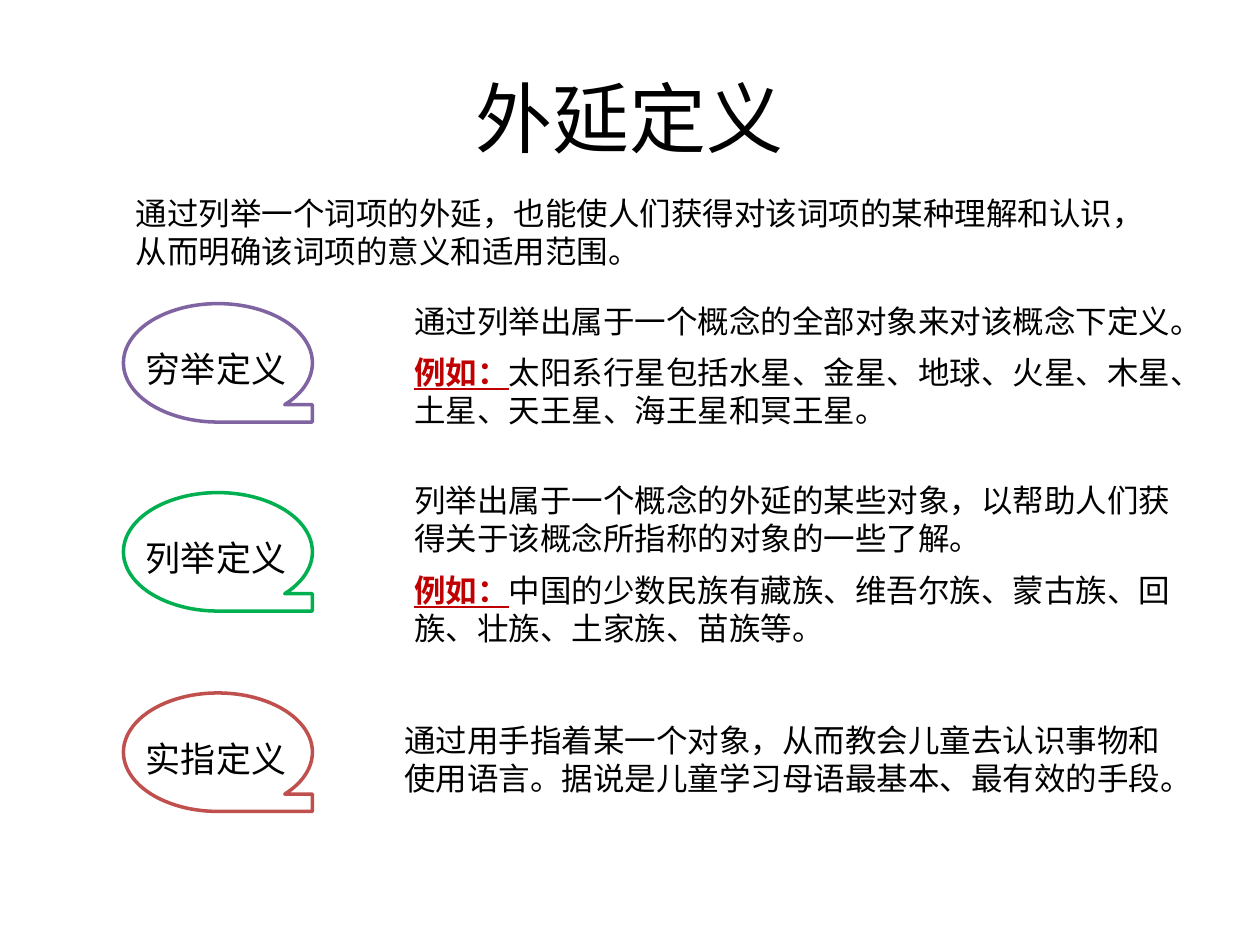
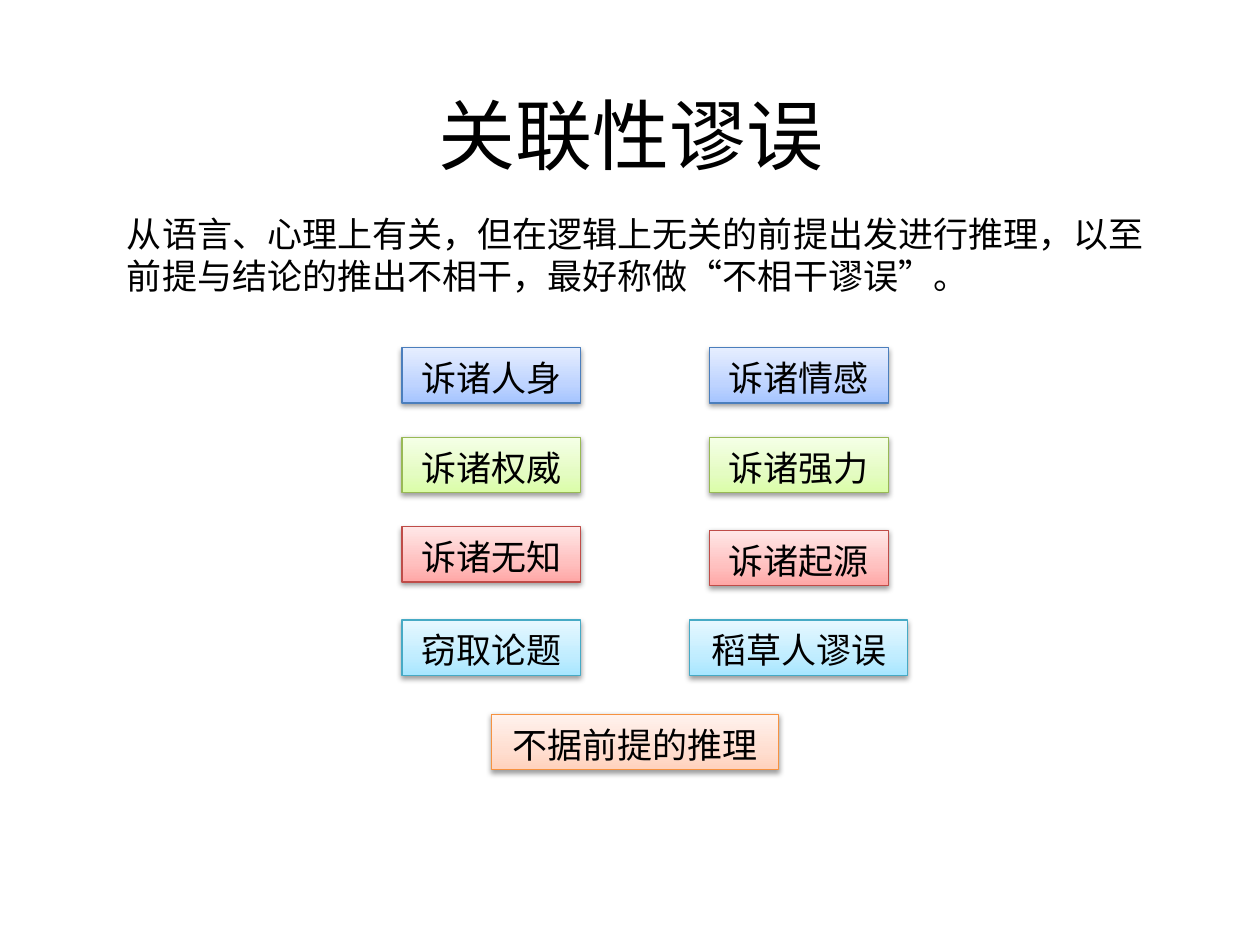
from dataclasses import dataclass

from lxml import etree
from pptx import Presentation
from pptx.dml.color import RGBColor
from pptx.enum.shapes import MSO_SHAPE
from pptx.enum.text import MSO_ANCHOR, PP_ALIGN
from pptx.oxml import parse_xml
from pptx.oxml.ns import nsdecls, qn
from pptx.util import Inches, Pt

TAPE, RECTANGLE = MSO_SHAPE.FLOWCHART_SEQUENTIAL_ACCESS_STORAGE, MSO_SHAPE.RECTANGLE
LEFT, CENTER = PP_ALIGN.LEFT, PP_ALIGN.CENTER
TOP, MIDDLE = MSO_ANCHOR.TOP, MSO_ANCHOR.MIDDLE
TITLE_ONLY = 5


@dataclass(frozen=True)
class Theme:
    ink: str = "000000"
    paper: str = "FFFFFF"
    accent: str = "C00000"
    purple: str = "8064A2"
    green: str = "00B050"
    red: str = "C0504D"
    # Each card style: outline, then gradient from bottom to top
    blue_card: tuple = ("4B7EBC", "A4C4FF", "BFD4FF", "E6EEFF")
    lime_card: tuple = ("98B955", "DAFDA7", "E4FCC2", "F5FFE7")
    rose_card: tuple = ("BF4C48", "FFA6A5", "FFC0BF", "FFE7E7")
    aqua_card: tuple = ("46AAC5", "A7E6FF", "C1EDFF", "E7F8FF")
    orange_card: tuple = ("F69240", "FFD2BD", "FFDED0", "FFF2ED")
    title_size: int = 44
    label_size: int = 20
    body_size: int = 18
    line_pitch: float = 1.2
    title_font: str = "Noto Sans CJK JP"
    label_font: str = "Noto Sans CJK SC"
    body_font: str = "Times New Roman"


THEME = Theme()


def add_span(para, text, *, size, font, color=THEME.ink, bold=False, underline=False):
    span = para.add_run()
    span.text = text
    span.font.size = Pt(size)
    span.font.bold = bold
    span.font.underline = underline
    span.font.color.rgb = RGBColor.from_string(color)
    span.font.name = font
    east_asian = etree.SubElement(span._r.get_or_add_rPr(), qn("a:ea"))
    east_asian.set("typeface", THEME.label_font if font == THEME.body_font else font)


def gradient_xml(colors):
    stops = "".join(
        f'<a:gs pos="{position}000"><a:srgbClr val="{color}"/></a:gs>'
        for position, color in zip((0, 35, 100), colors))
    return (f'<a:gradFill rotWithShape="1" {nsdecls("a")}><a:gsLst>{stops}</a:gsLst>'
            '<a:lin ang="16200000" scaled="0"/></a:gradFill>')


SHADOW_XML = (
    f'<a:effectLst {nsdecls("a")}><a:outerShdw blurRad="40000" dist="20000" dir="5400000" '
    'rotWithShape="0"><a:srgbClr val="000000"><a:alpha val="38000"/></a:srgbClr>'
    '</a:outerShdw></a:effectLst>')


class SlideBuilder:
    def __init__(self, deck, theme):
        self.deck = deck
        self.theme = theme
        self.slide = None

    def start(self, title, left, top):
        self.slide = self.deck.slides.add_slide(self.deck.slide_layouts[TITLE_ONLY])
        box = self.slide.shapes.title
        box.left, box.top = Inches(left), Inches(top)
        box.width, box.height = Inches(9), Inches(1.25)
        box.text_frame.vertical_anchor = MIDDLE
        para = box.text_frame.paragraphs[0]
        para.alignment = CENTER
        add_span(para, title, size=self.theme.title_size, font=self.theme.title_font)

    def fill_text(self, shape, text, *, size, font, lead="", align=LEFT):
        """Write one paragraph, opened by an underlined lead if given."""
        frame = shape.text_frame
        frame.word_wrap = True
        frame.vertical_anchor = TOP
        frame.margin_left = frame.margin_right = Inches(0.1)
        frame.margin_top, frame.margin_bottom = Inches(0.07), Inches(0.03)
        para = frame.paragraphs[0]
        para.alignment = align
        para.line_spacing = Pt(size * self.theme.line_pitch)
        para._p.get_or_add_pPr().set("hangingPunct", "1")
        if lead:
            add_span(para, lead, size=size, font=self.theme.title_font,
                     color=self.theme.accent, bold=True, underline=True)
        add_span(para, text, size=size, font=font)

    def text(self, text, left, top, width, height, **style):
        box = self.slide.shapes.add_textbox(
            Inches(left), Inches(top), Inches(width), Inches(height))
        self.fill_text(box, text, **style)

    def shape(self, kind, left, top, width, height, line, weight):
        shape = self.slide.shapes.add_shape(
            kind, Inches(left), Inches(top), Inches(width), Inches(height))
        shape.shadow.inherit = False
        shape.fill.solid()
        shape.fill.fore_color.rgb = RGBColor.from_string(self.theme.paper)
        shape.line.color.rgb = RGBColor.from_string(line)
        shape.line.width = Pt(weight)
        return shape

    def bubble(self, label, top, color):
        self.shape(TAPE, 0.98, top, 1.5, 0.94, color, 2)
        self.text(label, 1.06, top + 0.28, 1.65, 0.44,
                  size=self.theme.label_size, font=self.theme.label_font)

    def card(self, label, center, top, width, style):
        line, *colors = style
        card = self.shape(RECTANGLE, center - width / 2, top, width, 0.44, line, 0.75)
        properties = card._element.spPr
        for tag, xml in (("a:solidFill", gradient_xml(colors)), ("a:effectLst", SHADOW_XML)):
            properties.replace(properties.find(qn(tag)), parse_xml(xml))
        self.fill_text(card, label, size=self.theme.label_size,
                       font=self.theme.label_font, align=CENTER)


def build_definitions(page):
    theme = page.theme
    page.start("外延定义", 0.5, 0.3)
    page.text("通过列举一个词项的外延，也能使人们获得对该词项的某种理解和认识，从而明确该词项的意义和适用范围。",
              0.98, 1.47, 7.95, 0.71, size=theme.body_size, font=theme.label_font)
    for label, top, color in (("穷举定义", 2.41, theme.purple),
                              ("列举定义", 3.91, theme.green),
                              ("实指定义", 5.5, theme.red)):
        page.bubble(label, top, color)
    explanations = (
        (3.19, 2.33, 6.22, 0.4, "", "通过列举出属于一个概念的全部对象来对该概念下定义。"),
        (3.19, 2.73, 6.22, 0.71, "例如：",
         "太阳系行星包括水星、金星、地球、火星、木星、土星、天王星、海王星和冥王星。"),
        (3.19, 3.75, 6.22, 1.01, "",
         "列举出属于一个概念的外延的某些对象，以帮助人们获得关于该概念所指称的对象的一些了解。"),
        (3.19, 4.46, 6.3, 1.01, "例如：",
         "中国的少数民族有藏族、维吾尔族、蒙古族、回族、壮族、土家族、苗族等。"),
        (3.11, 5.65, 6.38, 1.01, "",
         "通过用手指着某一个对象，从而教会儿童去认识事物和使用语言。据说是儿童学习母语最基本、最有效的手段。"),
    )
    for left, top, width, height, lead, text in explanations:
        page.text(text, left, top, width, height, lead=lead,
                  size=theme.body_size, font=theme.body_font)


def build_fallacies(page):
    theme = page.theme
    page.start("关联性谬误", 0.51, 0.44)
    page.text("从语言、心理上有关，但在逻辑上无关的前提出发进行推理，以至前提与结论的推出不相干，最好称做“不相干谬误”。",
              0.91, 1.62, 8.43, 0.77, size=theme.label_size, font=theme.label_font)
    left_center, right_center, narrow = 3.9, 6.34, 1.42
    rows = (
        (theme.blue_card, "诉诸人身", 2.76, "诉诸情感", 2.76, narrow),
        (theme.lime_card, "诉诸权威", 3.47, "诉诸强力", 3.47, narrow),
        (theme.rose_card, "诉诸无知", 4.18, "诉诸起源", 4.21, narrow),
        (theme.aqua_card, "窃取论题", 4.92, "稻草人谬误", 4.92, 1.73),
    )
    for style, left_label, left_top, right_label, right_top, right_width in rows:
        page.card(left_label, left_center, left_top, narrow, style)
        page.card(right_label, right_center, right_top, right_width, style)
    page.card("不据前提的推理", 5.04, 5.67, 2.28, theme.orange_card)


def main():
    deck = Presentation()
    deck.slide_width, deck.slide_height = Inches(10), Inches(7.5)
    page = SlideBuilder(deck, THEME)
    build_definitions(page)
    build_fallacies(page)
    deck.save("out.pptx")


if __name__ == "__main__":
    main()
